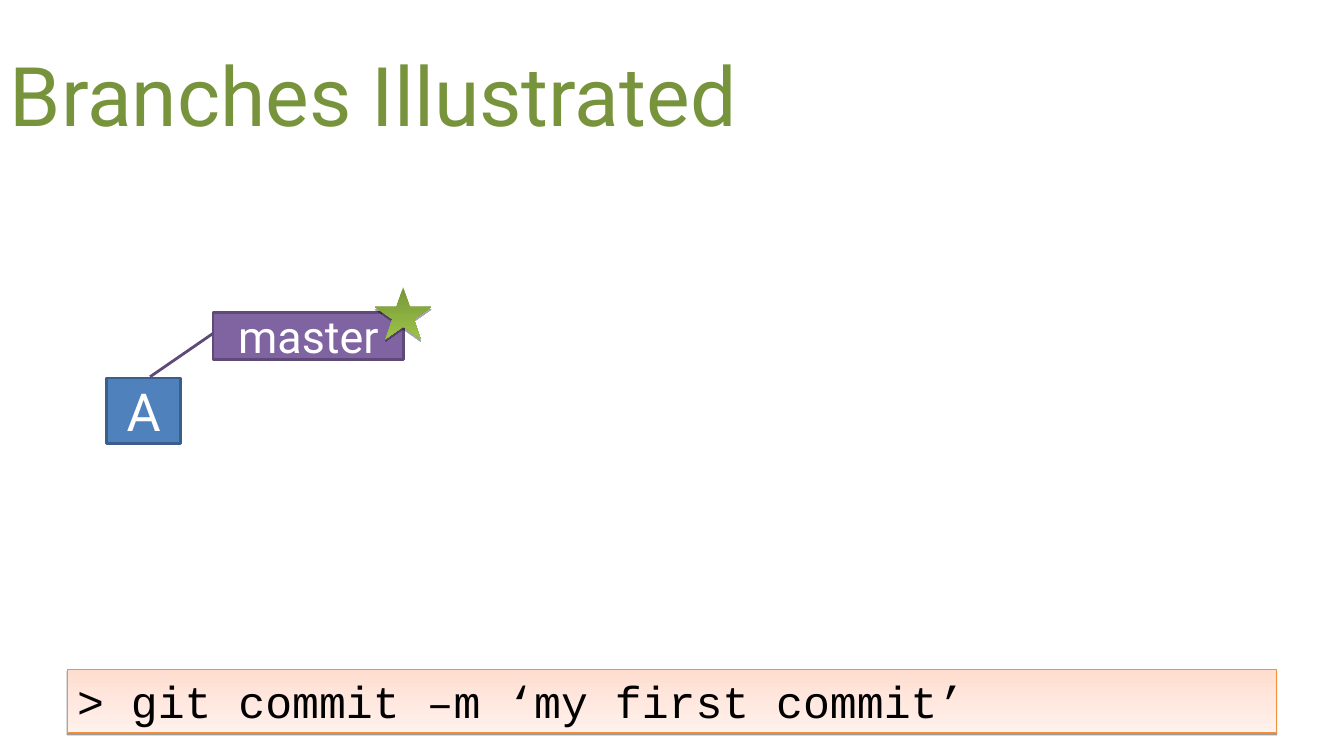
from lxml.etree import SubElement
from pptx import Presentation
from pptx.dml.color import RGBColor
from pptx.enum.shapes import MSO_SHAPE
from pptx.enum.text import MSO_ANCHOR, PP_ALIGN
from pptx.oxml.ns import qn
from pptx.util import Inches, Pt

THEME = {
    "font": "Roboto", "code_font": "Courier New",
    "title_size": 58.7, "commit_size": 37.4, "text_size": 32,
    "title": "77933C", "light": "FFFFFF", "dark": "000000",
    "branch": "8064A2", "branch_line": "5E4977",
    "commit": "4F81BD", "commit_line": "3A5F8B",
    "command": ("FFDED0", "FFF1EC"), "command_line": "F59240",
    "star": ("779637", "9BC348"),
}

presentation = Presentation()
presentation.slide_width = Inches(13.33)
presentation.slide_height = Inches(7.5)
slide = presentation.slides.add_slide(presentation.slide_layouts[6])
column = presentation.slide_width / 20
row = presentation.slide_height / 12


def cells(left, top, width, height):
    return [int(left * column), int(top * row), int(width * column), int(height * row)]


def write(shape, text, size, color, font, alignment, anchor):
    frame = shape.text_frame
    frame.word_wrap = True
    frame.vertical_anchor = anchor
    paragraph = frame.paragraphs[0]
    paragraph.text = text
    paragraph.alignment = alignment
    paragraph.font.size = Pt(THEME[size])
    paragraph.font.name = THEME[font]
    paragraph.font.color.rgb = RGBColor.from_string(THEME[color])


title = slide.shapes.add_textbox(*cells(0, 0.48, 18, 2))
write(title, "Branches Illustrated", "title_size", "title", "font", PP_ALIGN.LEFT, MSO_ANCHOR.MIDDLE)

labels = [
    ("master", MSO_SHAPE.LINE_CALLOUT_1, (3.17, 4.96, 2.84, 0.74), "branch", "text_size"),
    ("A", MSO_SHAPE.RECTANGLE, (1.59, 6, 1.1, 1.04), "commit", "commit_size"),
]
for text, preset, area, role, size in labels:
    label = slide.shapes.add_shape(preset, *cells(*area))
    label.shadow.inherit = False
    label.fill.solid()
    label.fill.fore_color.rgb = RGBColor.from_string(THEME[role])
    label.line.color.rgb = RGBColor.from_string(THEME[role + "_line"])
    label.line.width = Pt(2)
    if preset == MSO_SHAPE.LINE_CALLOUT_1:
        for index, share in enumerate((0.45, 0, 1.38, -0.33)):
            label.adjustments[index] = share
    write(label, text, size, "light", "font", PP_ALIGN.CENTER, MSO_ANCHOR.MIDDLE)

command = slide.shapes.add_shape(MSO_SHAPE.RECTANGLE, *cells(1, 10.62, 18, 1.01))
command.line.color.rgb = RGBColor.from_string(THEME["command_line"])
command.line.width = Pt(0.75)
write(command, "> git commit –m ‘my first commit’", "text_size", "dark", "code_font",
      PP_ALIGN.LEFT, MSO_ANCHOR.TOP)

star = slide.shapes.add_shape(MSO_SHAPE.STAR_5_POINT, *cells(5.58, 4.56, 0.84, 0.82))
star.line.fill.background()

for shape, role, distance, opacity in ((command, "command", 1.6, 38), (star, "star", 1.8, 35)):
    shape.fill.gradient()
    shape.fill.gradient_angle = 270
    for stop, position, color in zip(shape.fill.gradient_stops, (0, 1), THEME[role]):
        stop.position = position
        stop.color.rgb = RGBColor.from_string(color)
    shape.shadow.inherit = False
    effects = shape._element.spPr.find(qn("a:effectLst"))
    shadow = SubElement(effects, qn("a:outerShdw"), blurRad="0", dist=str(Pt(distance)),
                        dir="5400000", rotWithShape="0")
    shade = SubElement(shadow, qn("a:srgbClr"), val=THEME["dark"])
    SubElement(shade, qn("a:alpha"), val=str(opacity * 1000))

presentation.save("out.pptx")
